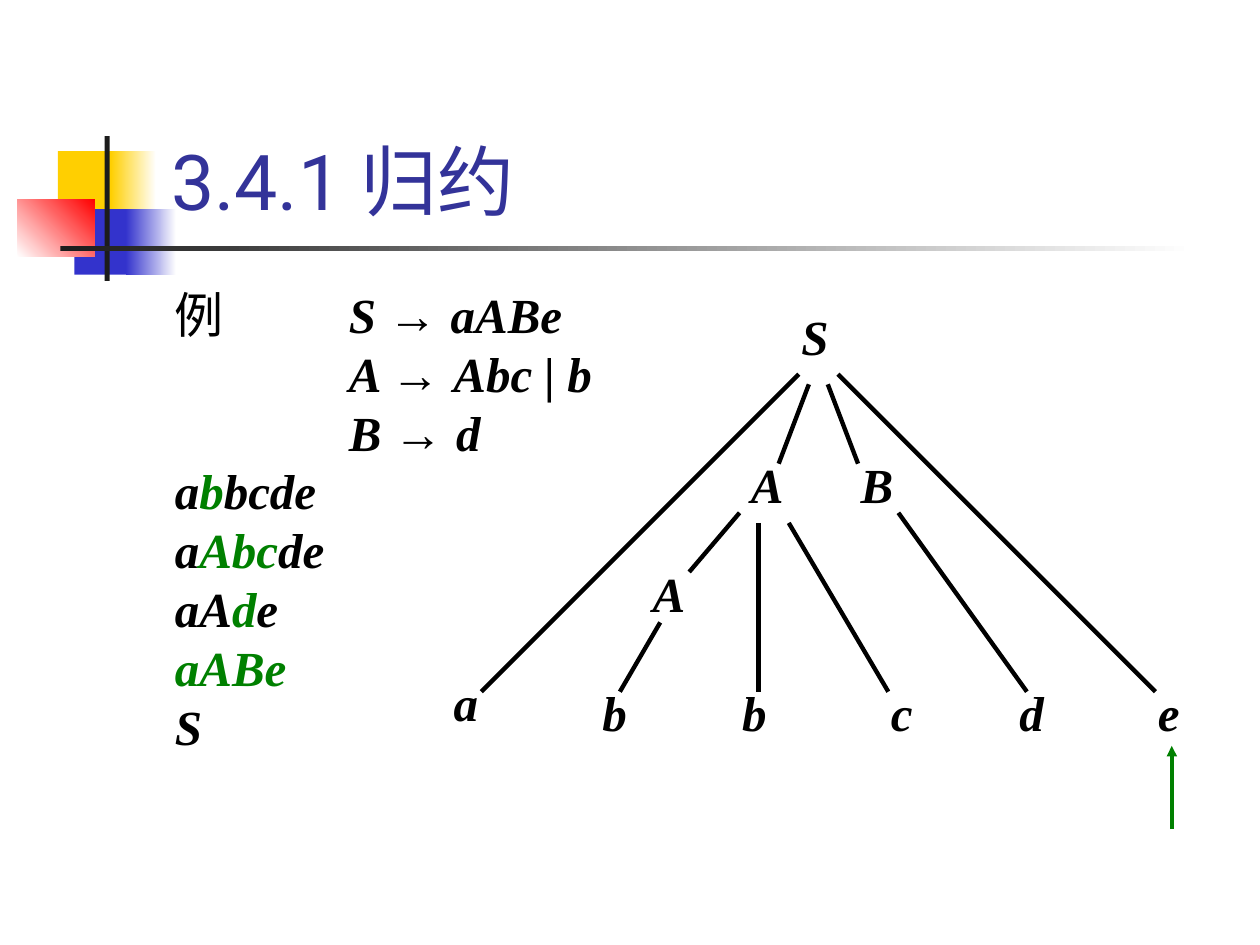
from dataclasses import dataclass

from lxml import etree
from pptx import Presentation
from pptx.dml.color import RGBColor
from pptx.enum.shapes import MSO_CONNECTOR, MSO_SHAPE
from pptx.enum.text import MSO_ANCHOR, PP_ALIGN
from pptx.oxml.ns import qn
from pptx.util import Inches, Pt

RECTANGLE = MSO_SHAPE.RECTANGLE
STRAIGHT = MSO_CONNECTOR.STRAIGHT
BOTTOM = MSO_ANCHOR.BOTTOM
JUSTIFY, LEFT = PP_ALIGN.JUSTIFY, PP_ALIGN.LEFT


@dataclass(frozen=True)
class Theme:
    yellow: str = "FFCF01"
    blue: str = "3333CC"
    red: str = "FF0000"
    white: str = "FFFFFF"
    dark: str = "1C1C1C"
    title: str = "333399"
    black: str = "000000"
    green: str = "008000"
    title_size: int = 44
    text_size: int = 28
    title_font: str = "Roboto"
    text_font: str = "Times New Roman"
    arrow_font: str = "Arial"


theme = Theme()


def add_run(paragraph, text, color=theme.black, font=theme.text_font,
            size=theme.text_size, bold=True, italic=True):
    run = paragraph.add_run()
    run.text = text
    run.font.name = font
    run.font.size = Pt(size)
    run.font.bold = bold
    run.font.italic = italic
    run.font.color.rgb = RGBColor.from_string(color)


def add_line(shapes, start, end, color, width):
    line = shapes.add_connector(STRAIGHT, *map(Inches, start + end))
    line.line.color.rgb = RGBColor.from_string(color)
    line.line.width = Pt(width)
    etree.SubElement(line._element.spPr, qn("a:effectLst"))
    return line


presentation = Presentation()
presentation.slide_width = Inches(10)
presentation.slide_height = Inches(7.5)
slide = presentation.slides.add_slide(presentation.slide_layouts[6])

# Corner ornament: left, top, width, height, colours, gradient angle
ornament = [
    (0.46, 1.2, 0.48, 0.52, [theme.yellow], 0),
    (0.88, 1.2, 0.36, 0.52, [theme.yellow, theme.white], 0),
    (0.59, 1.66, 0.46, 0.52, [theme.blue], 0),
    (1, 1.66, 0.4, 0.52, [theme.blue, theme.white], 0),
    (0.14, 1.58, 0.61, 0.46, [theme.white, theme.red], 45),
    (0.83, 1.08, 0.04, 1.15, [theme.dark], 0),
    (0.48, 1.95, 9, 0.04, [theme.dark, theme.white], 0),
]
for left, top, width, height, colors, angle in ornament:
    shape = slide.shapes.add_shape(RECTANGLE, *map(Inches, (left, top, width, height)))
    shape.shadow.inherit = False
    shape.line.fill.background()
    if len(colors) == 1:
        shape.fill.solid()
        shape.fill.fore_color.rgb = RGBColor.from_string(colors[0])
    else:
        shape.fill.gradient()
        shape.fill.gradient_angle = angle
        for stop, color in zip(shape.fill.gradient_stops, colors):
            stop.color.rgb = RGBColor.from_string(color)

# Title
title = slide.shapes.add_textbox(Inches(1.26), Inches(0.24), Inches(8.52), Inches(1.6))
title.text_frame.word_wrap = True
title.text_frame.vertical_anchor = BOTTOM
add_run(title.text_frame.paragraphs[0], "3.4.1 归约", theme.title, theme.title_font,
        theme.title_size, bold=False, italic=False)

# Grammar rules and reduction steps
arrow = ("→ ", "arrow")
body_lines = [
    (LEFT, [("例\t", "plain"), ("S ", ""), arrow, ("aABe", "")]),
    (JUSTIFY, [("\t\tA ", ""), arrow, ("Abc | b", "")]),
    (JUSTIFY, [("\t\tB ", ""), arrow, ("d", "")]),
    (JUSTIFY, [("a", ""), ("b", "handle"), ("bcde", "")]),
    (JUSTIFY, [("a", ""), ("Abc", "handle"), ("de", "")]),
    (JUSTIFY, [("aA", ""), ("d", "handle"), ("e", "")]),
    (JUSTIFY, [("aABe", "handle")]),
    (LEFT, [("S", "")]),
]
run_styles = {
    "": {},
    "plain": {"bold": False, "italic": False},
    "arrow": {"font": theme.arrow_font, "italic": False},
    "handle": {"color": theme.green},
}
body = slide.shapes.add_textbox(Inches(1.29), Inches(2.26), Inches(8.5), Inches(4.5))
body.text_frame.word_wrap = True
for index, (alignment, runs) in enumerate(body_lines):
    paragraph = body.text_frame.paragraphs[0] if index == 0 else body.text_frame.add_paragraph()
    properties = paragraph._p.get_or_add_pPr()
    properties.set("marL", str(Inches(0.38)))
    properties.set("indent", str(Inches(-0.38)))
    properties.set("defTabSz", str(Inches(1)))
    tabs = etree.SubElement(properties, qn("a:tabLst"))
    for position in range(8):
        etree.SubElement(tabs, qn("a:tab"), pos=str(Inches(position)), algn="l")
    paragraph.alignment = alignment
    paragraph.line_spacing = 0.9
    if index:
        paragraph.space_before = Pt(3.4)
    for text, style in runs:
        add_run(paragraph, text, **run_styles[style])

# Parse tree: symbols
tree = slide.shapes.add_group_shape().shapes
leaf_top = 5.41
nodes = [
    ("S", 6.34, 2.42), ("A", 5.94, 3.6), ("B", 6.81, 3.6), ("A", 5.16, 4.46),
    ("a", 3.58, 5.33), ("b", 4.76, leaf_top), ("b", 5.87, leaf_top),
    ("c", 7.05, leaf_top), ("d", 8.07, leaf_top), ("e", 9.17, leaf_top),
]
for symbol, left, top in nodes:
    node = tree.add_textbox(Inches(left), Inches(top), Inches(0.45), Inches(0.55))
    frame = node.text_frame
    frame.word_wrap = True
    frame.margin_left = frame.margin_right = Inches(0.02)
    frame.margin_top = frame.margin_bottom = Inches(0.01)
    frame.paragraphs[0].alignment = JUSTIFY
    add_run(frame.paragraphs[0], symbol)

# Parse tree: branches
branch_end = 5.49
branches = [
    ((6.34, 2.97), (3.82, branch_end)), ((6.65, 2.97), (9.17, branch_end)),
    ((6.42, 3.05), (6.18, 3.68)), ((6.57, 3.05), (6.81, 3.68)),
    ((5.87, 4.07), (5.47, 4.54)), ((5.24, 4.94), (4.92, branch_end)),
    ((6.02, 4.15), (6.02, branch_end)), ((6.26, 4.15), (7.05, branch_end)),
    ((7.13, 4.07), (8.15, branch_end)),
]
for start, end in branches:
    add_line(tree, start, end, theme.black, 2.5)

# Input pointer
pointer = add_line(slide.shapes, (9.3, 6.58), (9.3, 5.92), theme.green, 2)
etree.SubElement(pointer.line._get_or_add_ln(), qn("a:tailEnd"), type="triangle")

presentation.save("out.pptx")
